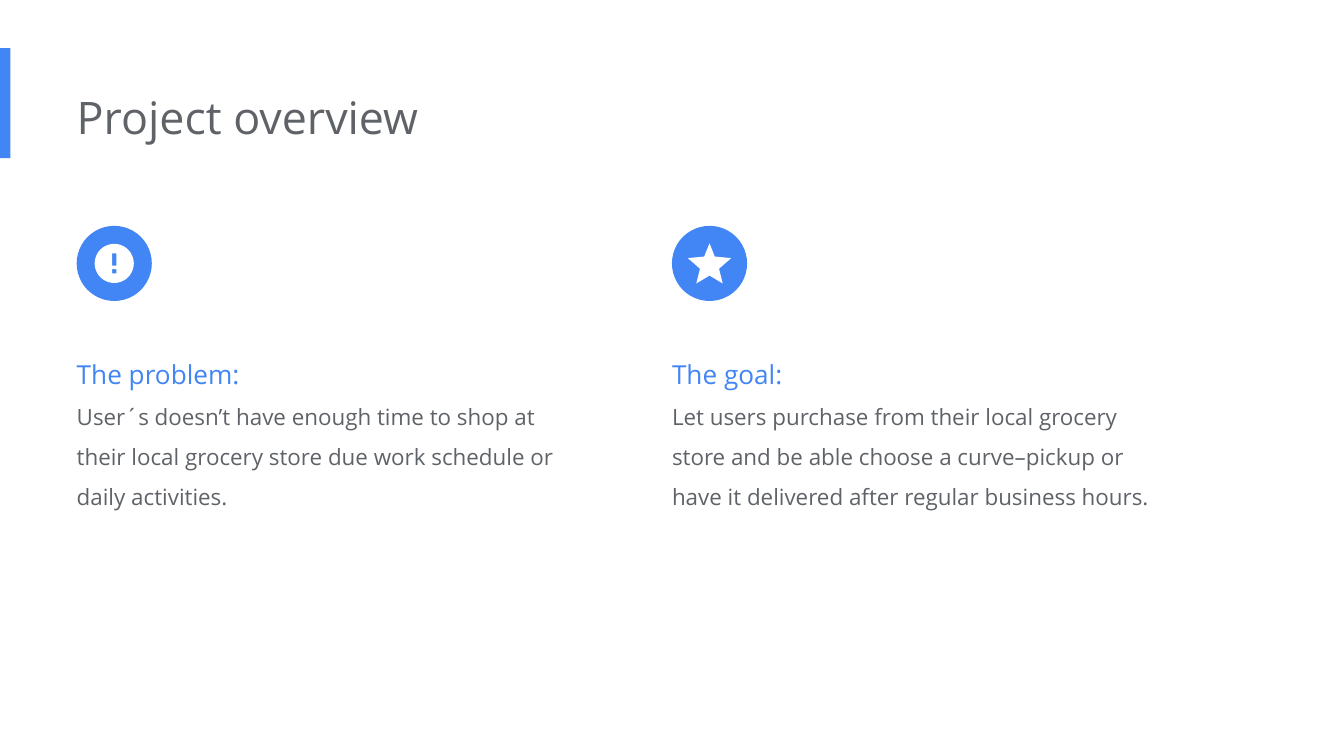
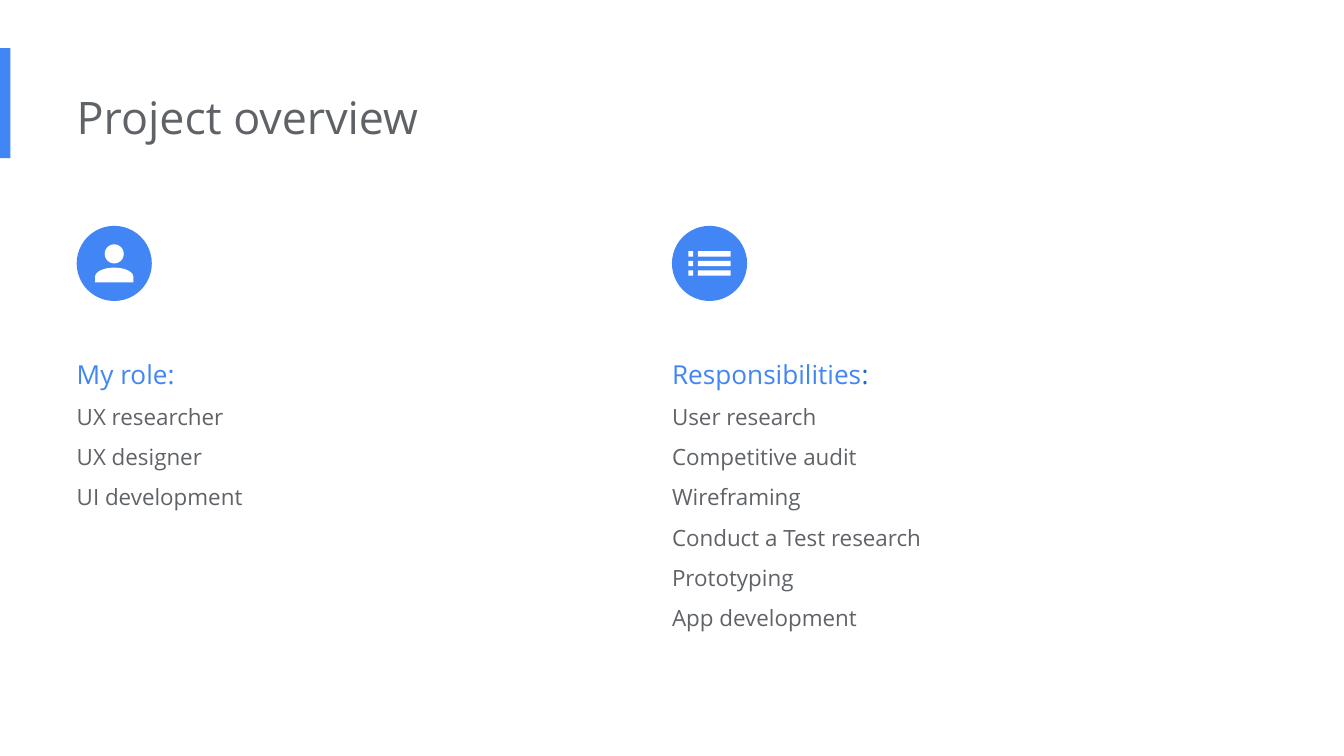
from math import cos, pi, sin

from lxml import etree
from pptx import Presentation
from pptx.dml.color import RGBColor
from pptx.enum.shapes import MSO_SHAPE
from pptx.enum.text import MSO_ANCHOR, MSO_AUTO_SIZE, PP_ALIGN
from pptx.oxml.ns import qn
from pptx.util import Cm, Pt

RECT, OVAL = MSO_SHAPE.RECTANGLE, MSO_SHAPE.OVAL
TOP, LEFT = MSO_ANCHOR.TOP, PP_ALIGN.LEFT
GROW = MSO_AUTO_SIZE.SHAPE_TO_FIT_TEXT

FONT = "Open Sans"
INK = {"blue": "4285F4", "deep": "1967D2", "gray": "5F6368", "white": "FFFFFF"}
COLS = (1.45, 12.7)
DISC_TOP, DISC = 4.27, 1.42


def arc(x, y, wide, high, start=0, sweep=2 * pi, steps=40):
    turns = [start + sweep * i / steps for i in range(steps + 1)]
    return [(x + wide * cos(t), y + high * sin(t)) for t in turns]


def box(left, top, right, low):
    return [(left, top), (right, top), (right, low), (left, low)]


def alert():
    return [arc(0, 0, 0.37, 0.37), box(-0.04, -0.19, 0.04, 0.04),
            box(-0.04, 0.11, 0.04, 0.19)]


def star():
    half = [(0, -0.38), (0.1, -0.13), (0.41, -0.1), (0.18, 0.1), (0.25, 0.38)]
    return [half + [(0, 0.23)] + [(-x, y) for x, y in half[:0:-1]]]


def person():
    body = arc(0, 0.25, 0.36, 0.17, pi, pi) + [(0.36, 0.36), (-0.36, 0.36)]
    return [arc(0, -0.18, 0.18, 0.18), body]


def rows():
    return [box(left, y - 0.05, right, y + 0.05)
            for y in (-0.18, 0, 0.18)
            for left, right in ((-0.4, -0.31), (-0.22, 0.4))]


class Deck:
    def __init__(self):
        self.prs = Presentation()
        self.prs.slide_width, self.prs.slide_height = Cm(25.4), Cm(14.29)
        self.slide = None

    def page(self, title, parts):
        self.slide = self.prs.slides.add_slide(self.prs.slide_layouts[3])
        head, *lists = self.slide.placeholders
        self.shape(RECT, 0, 0.91, 0.2, 2.08)
        self.frame(head, COLS[0], 1.45, 17.09, 1.55)
        self.para(head.text_frame.paragraphs[0], [(title, "gray")], 24)
        for left, hold, (icon, label, lines) in zip(COLS, lists, parts):
            self.body(hold, left, label, lines)
            self.shape(OVAL, left, DISC_TOP, DISC, DISC)
            self.icon(icon(), left + DISC / 2, DISC_TOP + DISC / 2)

    def frame(self, hold, left, top, wide, high):
        hold.left, hold.top = Cm(left), Cm(top)
        hold.width, hold.height = Cm(wide), Cm(high)
        text = hold.text_frame
        text.margin_left = 0
        text.margin_top = text.margin_right = text.margin_bottom = Cm(0.25)
        text.word_wrap = True
        text.vertical_anchor = TOP
        text.auto_size = GROW

    def body(self, hold, left, label, lines):
        high = 3.7 if len(lines) < 4 else 6.81
        self.frame(hold, left, 6.22, 9.58, high)
        text = hold.text_frame
        self.para(text.paragraphs[0], label, 14, 1.5)
        for line in lines:
            self.para(text.add_paragraph(), [(line, "gray")], 12, 1.5)

    def para(self, para, runs, size, space=1.0):
        para.alignment = LEFT
        para.line_spacing = space
        para.space_before = para.space_after = Pt(0)
        props = para._p.get_or_add_pPr()
        props.set("marL", "0")
        props.set("indent", "0")
        etree.SubElement(props, qn("a:buNone"))
        for words, ink in runs:
            run = para.add_run()
            run.text = words
            run.font.name, run.font.size = FONT, Pt(size)
            run.font.color.rgb = RGBColor.from_string(INK[ink])

    def paint(self, shape, ink):
        shape.shadow.inherit = False
        shape.fill.solid()
        shape.fill.fore_color.rgb = RGBColor.from_string(INK[ink])
        shape.line.fill.background()

    def shape(self, kind, left, top, wide, high):
        spot = [Cm(v) for v in (left, top, wide, high)]
        self.paint(self.slide.shapes.add_shape(kind, *spot), "blue")

    def icon(self, loops, x, y):
        loops = [[(Cm(a), Cm(b)) for a, b in loop] for loop in loops]
        pen = self.slide.shapes.build_freeform(*loops[0][0])
        for i, loop in enumerate(loops):
            if i:
                pen.move_to(*loop[0])
            pen.add_line_segments(loop[1:], close=True)
        self.paint(pen.convert_to_shape(Cm(x), Cm(y)), "white")


def main():
    deck = Deck()
    deck.page("Project overview", [
        (alert, [("The problem:", "blue")],
         ["User´s doesn’t have enough time to shop at their local grocery "
          "store due work schedule or daily activities."]),
        (star, [("The goal:", "blue")],
         ["Let users purchase from their local grocery store and be able "
          "choose a curve–pickup or have it delivered after regular "
          "business hours."]),
    ])
    deck.page("Project overview", [
        (person, [("My role:", "blue")],
         ["UX researcher", "UX designer", "UI development"]),
        (rows, [("Responsibilities", "blue"), (":", "deep")],
         ["User research", "Competitive audit", "Wireframing",
          "Conduct a Test research", "Prototyping", "App development"]),
    ])
    deck.prs.save("out.pptx")


if __name__ == "__main__":
    main()
